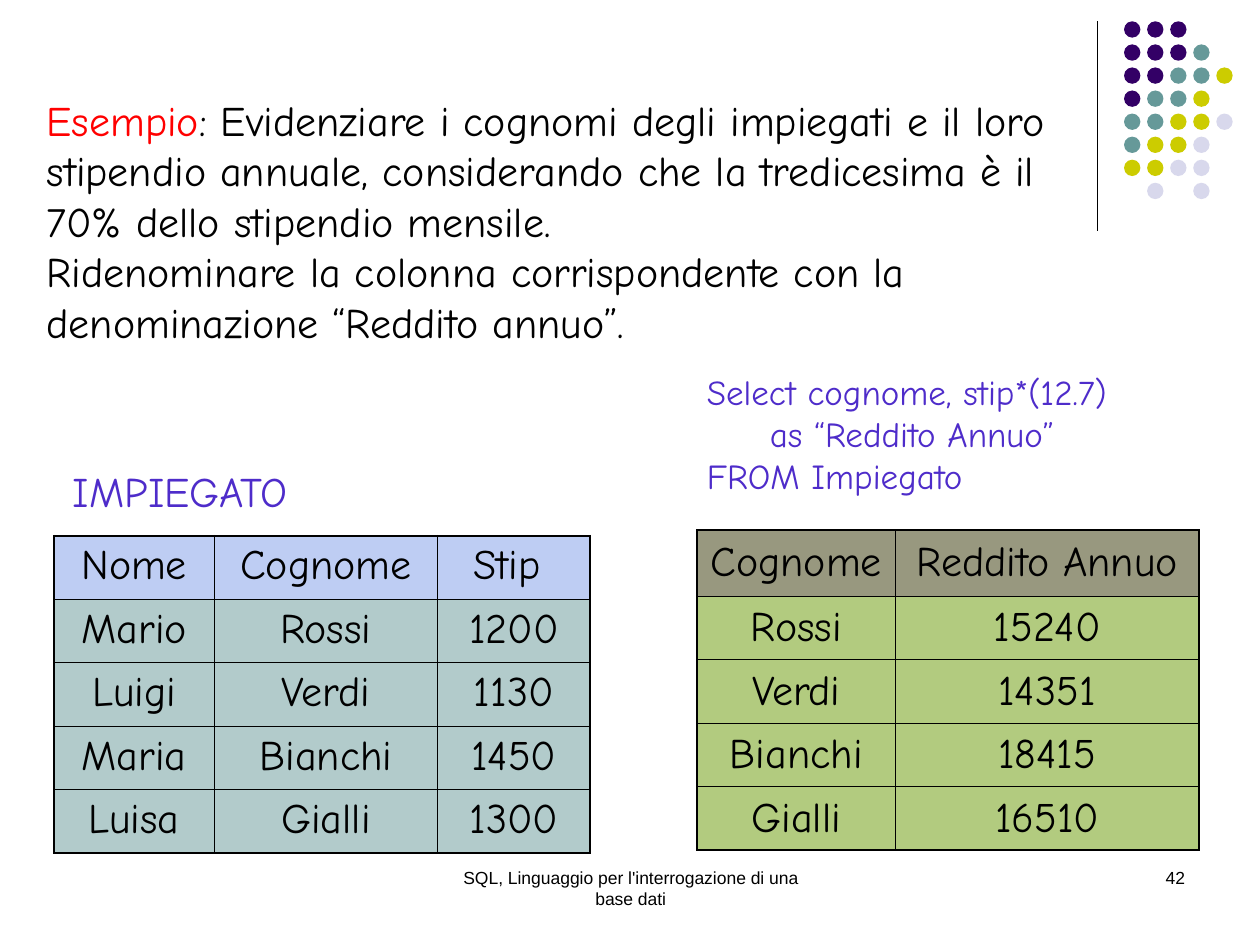
from dataclasses import dataclass

from lxml.etree import SubElement
from pptx import Presentation
from pptx.dml.color import RGBColor
from pptx.enum.shapes import MSO_CONNECTOR as Connector, MSO_SHAPE as Preset
from pptx.enum.text import MSO_ANCHOR as Anchor, MSO_AUTO_SIZE as AutoSize, PP_ALIGN as Align
from pptx.oxml.ns import qn
from pptx.slide import Slide
from pptx.util import Cm, Pt

BLACK = RGBColor(0x00, 0x00, 0x00)
RED = RGBColor(0xFF, 0x00, 0x00)
VIOLET = RGBColor(0x4E, 0x2C, 0xCA)
PURPLE = RGBColor(0x33, 0x00, 0x66)
TEAL = RGBColor(0x66, 0x99, 0x99)
MUSTARD = RGBColor(0xCC, 0xCC, 0x00)
LAVENDER = RGBColor(0xD8, 0xD8, 0xEC)
BLUE = RGBColor(0x7E, 0x9C, 0xE8)
OLIVE = RGBColor(0x33, 0x33, 0x00)
GREEN = RGBColor(0x66, 0x99, 0x00)

COMIC = "Comic Neue"
DOT_COLORS = {"P": PURPLE, "T": TEAL, "M": MUSTARD, "L": LAVENDER}
DOT_ROWS = ["PPP", "PPPT", "PPTTM", "PTTM", "TTMML", "TMML", "MMLL", " L L"]
DOT_LEFT, DOT_TOP, DOT_SIZE, DOT_PITCH = 22.66, 0.43, 0.33, 0.465
OUTER_LINE, INNER_LINE = Pt(1.08), Pt(0.45)


@dataclass
class Label:
    left: float
    top: float
    width: float
    height: float
    paragraphs: list[list[tuple[str, RGBColor]]]
    size: int
    font: str = COMIC
    align: Align = Align.LEFT
    wrap: bool = True
    grow: bool = False


@dataclass
class Grid:
    left: float
    top: float
    columns: list[float]
    header_height: float
    row_height: float
    rows: list[list[str]]
    header_color: RGBColor
    body_color: RGBColor
    anchor: Anchor
    side_margin: float


LABELS = [
    Label(0.69, 1.78, 21.41, 5.33, [
        [("Esempio", RED),
         (": Evidenziare i cognomi degli impiegati e il loro stipendio annuale, "
          "considerando che la tredicesima è il 70% dello stipendio mensile.", BLACK)],
        [("Ridenominare la colonna corrispondente con la denominazione "
          "“Reddito annuo”.", BLACK)],
    ], 24, grow=True),
    Label(1.22, 9.25, 4.95, 1.27, [[("IMPIEGATO", VIOLET)]], 24, wrap=False, grow=True),
    Label(14, 7.34, 8.81, 2.79, [
        [("Select cognome, stip*(12.7)", VIOLET)],
        [("\tas “Reddito Annuo”", VIOLET)],
        [("FROM Impiegato", VIOLET)],
    ], 20, wrap=False, grow=True),
    Label(8.69, 6.83 * 2.54, 8.05, 1.27,
          [[("SQL, Linguaggio per l'interrogazione di una base dati", BLACK)]],
          10, "Arial", Align.CENTER),
    Label(18.21, 6.83 * 2.54, 5.93, 1.27, [[("42", BLACK)]], 10, "Arial", Align.RIGHT),
]

GRIDS = [
    Grid(14.05, 10.69, [4, 6.12], 1.33, 1.28, [
        ["Cognome", "Reddito Annuo"],
        ["Rossi", "15240"],
        ["Verdi", "14351"],
        ["Bianchi", "18415"],
        ["Gialli", "16510"],
    ], OLIVE, GREEN, Anchor.MIDDLE, 0.2),
    Grid(1.09, 10.8, [3.23, 4.5, 3.08], 1.28, 1.28, [
        ["Nome", "Cognome", "Stip "],
        ["Mario", "Rossi", "1200"],
        ["Luigi", "Verdi", "1130"],
        ["Maria", "Bianchi", "1450"],
        ["Luisa", "Gialli", "1300"],
    ], BLUE, TEAL, Anchor.TOP, 0.25),
]


def draw_dots(page: Slide) -> None:
    for row, codes in enumerate(DOT_ROWS):
        for column, code in enumerate(codes):
            if code == " ":
                continue
            dot = page.shapes.add_shape(
                Preset.OVAL, Cm(DOT_LEFT + column * DOT_PITCH),
                Cm(DOT_TOP + row * DOT_PITCH), Cm(DOT_SIZE), Cm(DOT_SIZE))
            dot.shadow.inherit = False
            dot.fill.solid()
            dot.fill.fore_color.rgb = DOT_COLORS[code]
            dot.line.fill.background()


def draw_divider(page: Slide) -> None:
    divider = page.shapes.add_connector(
        Connector.STRAIGHT, Cm(22.12), Cm(0.43), Cm(22.12), Cm(4.65))
    divider.line.color.rgb = BLACK
    divider.line.width = Pt(0.75)
    SubElement(divider._element.spPr, qn("a:effectLst"))


def draw_label(page: Slide, label: Label) -> None:
    box = page.shapes.add_textbox(
        Cm(label.left), Cm(label.top), Cm(label.width), Cm(label.height))
    frame = box.text_frame
    frame.word_wrap = label.wrap
    frame.auto_size = AutoSize.SHAPE_TO_FIT_TEXT if label.grow else AutoSize.NONE
    for index, spans in enumerate(label.paragraphs):
        para = frame.add_paragraph() if index else frame.paragraphs[0]
        para.alignment = label.align
        for text, color in spans:
            span = para.add_run()
            span.text = text
            span.font.name = label.font
            span.font.size = Pt(label.size)
            span.font.color.rgb = color


def set_border(cell, side: str, width: int) -> None:
    line = SubElement(cell._tc.get_or_add_tcPr(), qn(f"a:{side}"), w=str(width))
    fill = SubElement(line, qn("a:solidFill"))
    SubElement(fill, qn("a:srgbClr"), val=str(BLACK))


def set_half_fill(cell, color: RGBColor) -> None:
    cell.fill.solid()
    cell.fill.fore_color.rgb = color
    tint = cell._tc.tcPr.find(f"{qn('a:solidFill')}/{qn('a:srgbClr')}")
    SubElement(tint, qn("a:alpha"), val="50000")


def draw_grid(page: Slide, grid: Grid) -> None:
    last_row, last_column = len(grid.rows) - 1, len(grid.columns) - 1
    height = grid.header_height + last_row * grid.row_height
    table = page.shapes.add_table(
        last_row + 1, last_column + 1, Cm(grid.left), Cm(grid.top),
        Cm(sum(grid.columns)), Cm(height)).table
    table.first_row = table.horz_banding = False
    for column, width in zip(table.columns, grid.columns):
        column.width = Cm(width)
    for row, texts in enumerate(grid.rows):
        table.rows[row].height = Cm(grid.row_height if row else grid.header_height)
        for column, text in enumerate(texts):
            cell = table.cell(row, column)
            cell.vertical_anchor = grid.anchor
            cell.margin_left = cell.margin_right = Cm(grid.side_margin)
            edges = {"lnL": column == 0, "lnR": column == last_column,
                     "lnT": row == 0, "lnB": row == last_row}
            for side, is_outer in edges.items():
                set_border(cell, side, OUTER_LINE if is_outer else INNER_LINE)
            set_half_fill(cell, grid.body_color if row else grid.header_color)
            para = cell.text_frame.paragraphs[0]
            para.text = text
            para.alignment = Align.CENTER
            span = para.runs[0]
            span.font.name = COMIC
            span.font.size = Pt(24)
            span.font.color.rgb = BLACK


def main() -> None:
    deck = Presentation()
    deck.slide_width, deck.slide_height = Cm(25.4), Cm(19.05)
    page = deck.slides.add_slide(deck.slide_layouts[6])
    draw_divider(page)
    draw_dots(page)
    for grid in GRIDS:
        draw_grid(page, grid)
    for label in LABELS:
        draw_label(page, label)
    deck.save("out.pptx")


if __name__ == "__main__":
    main()
